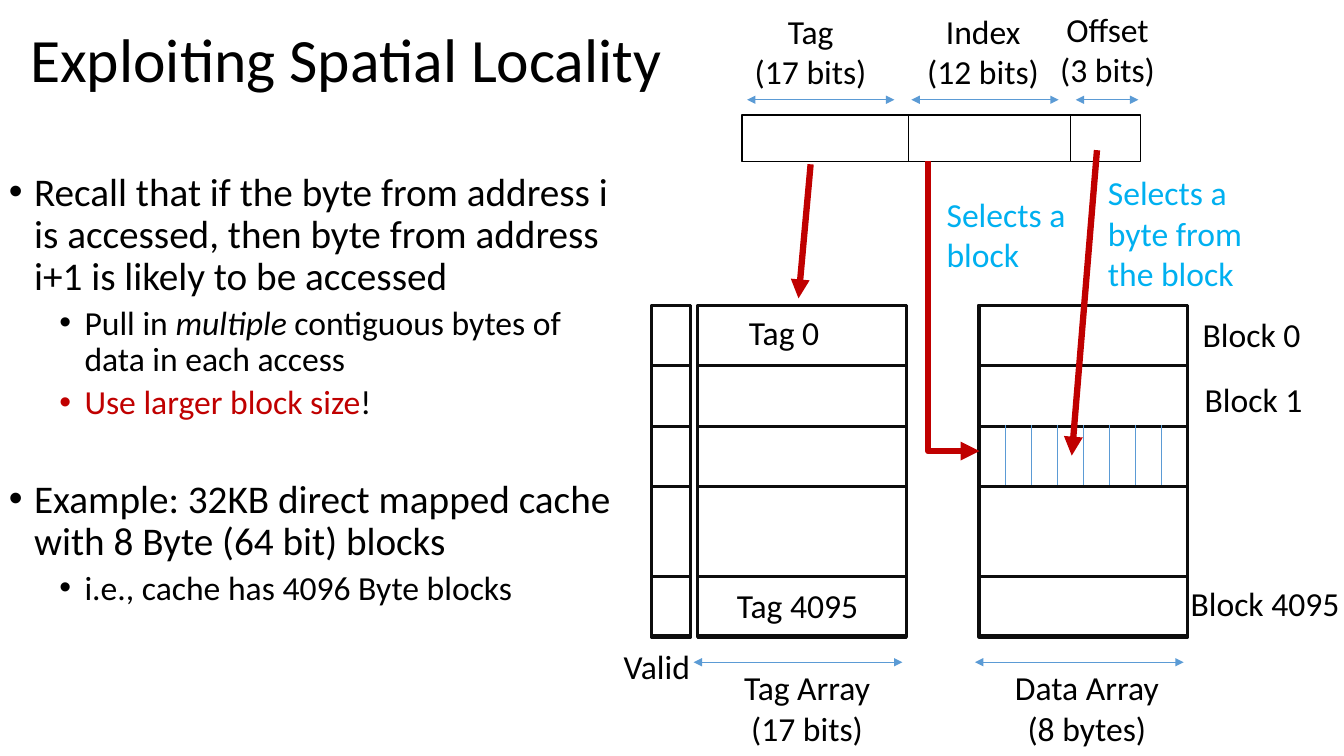
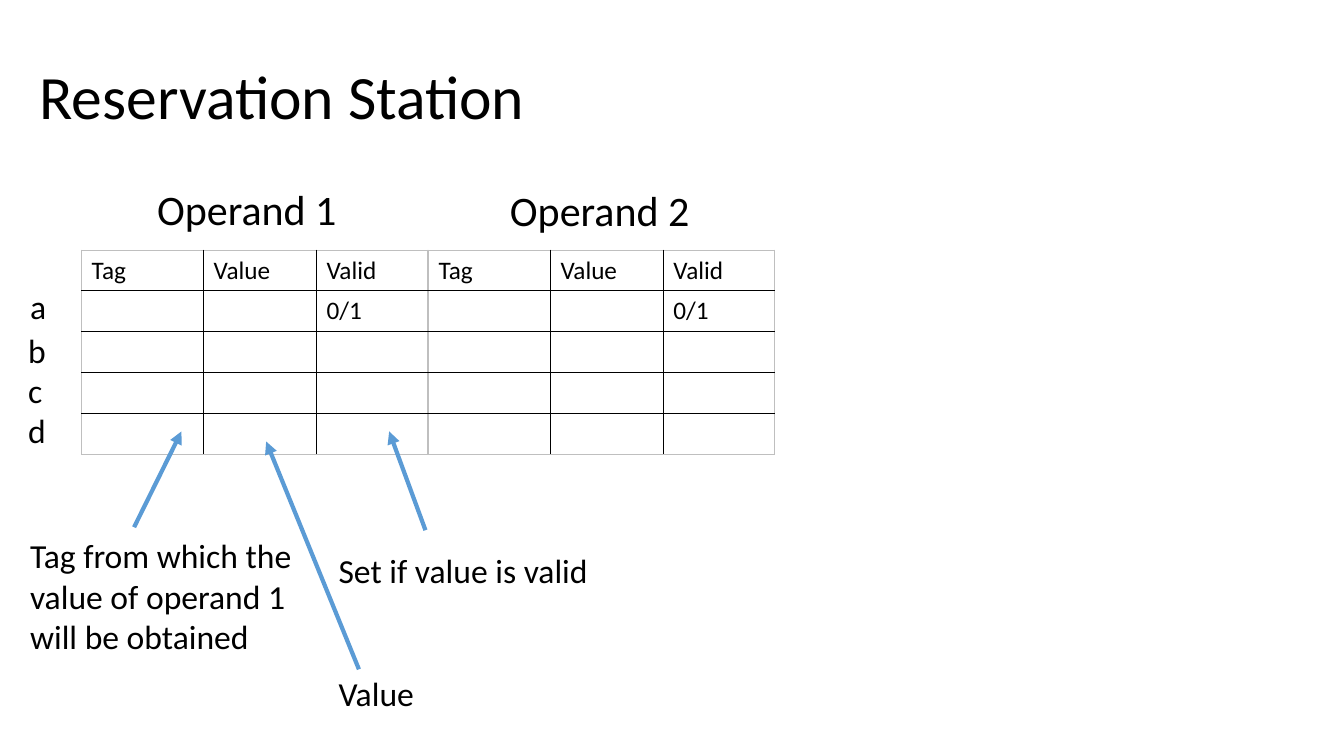
from dataclasses import dataclass
from itertools import product

from lxml.etree import SubElement
from pptx import Presentation
from pptx.dml.color import RGBColor
from pptx.enum.shapes import MSO_CONNECTOR as Connector, MSO_SHAPE as Shape
from pptx.enum.text import MSO_ANCHOR as Anchor, MSO_AUTO_SIZE as AutoSize, PP_ALIGN as Align
from pptx.oxml.ns import qn
from pptx.util import Inches, Pt


@dataclass(frozen=True)
class Theme:
    font: str = "Calibri"
    text: str = "000000"
    frame: str = "0D0D0D"
    blue: str = "5B9BD5"
    red: str = "C00000"
    note: str = "00B0F0"
    edge: str = "BFBFBF"
    title: int = 44
    heading: int = 30
    body: int = 28
    label: int = 24
    cell: int = 18


@dataclass(frozen=True)
class Label:
    text: str
    left: float
    top: float
    width: float
    height: float = 0.5
    color: str = "000000"
    size: int = 24
    wrap: bool = True
    centered: bool = False


@dataclass(frozen=True)
class Arrow:
    start: tuple[float, float]
    end: tuple[float, float]
    color: str
    width: float
    head: bool = False
    tail: bool = True


@dataclass(frozen=True)
class Bullet:
    runs: tuple[str, ...]
    level: int = 0
    space_before: int = 10
    italic: str = ""
    accent: str = ""


THEME = Theme()


# Shared drawing functions
def set_font(paragraph, size: int, color: str = THEME.text) -> None:
    font = paragraph.font
    font.name, font.size = THEME.font, Pt(size)
    font.color.rgb = RGBColor.from_string(color)


def add_titled_slide(deck, text: str, left: float, top: float):
    slide = deck.slides.add_slide(deck.slide_layouts[5])
    title = slide.shapes.title
    title.left, title.top = Inches(left), Inches(top)
    title.width, title.height = Inches(11.5), Inches(1.45)
    frame = title.text_frame
    frame.text = text
    frame.vertical_anchor, frame.auto_size = Anchor.MIDDLE, AutoSize.NONE
    heading = frame.paragraphs[0]
    heading.alignment, heading.line_spacing = Align.LEFT, 0.9
    set_font(heading, THEME.title)
    return slide


def add_label(slide, label: Label) -> None:
    box = slide.shapes.add_textbox(Inches(label.left), Inches(label.top),
                                   Inches(label.width), Inches(label.height))
    frame = box.text_frame
    frame.text = label.text
    frame.word_wrap, frame.auto_size = label.wrap, AutoSize.SHAPE_TO_FIT_TEXT
    for paragraph in frame.paragraphs:
        paragraph.alignment = Align.CENTER if label.centered else Align.LEFT
        set_font(paragraph, label.size, label.color)


def add_frame(slide, left: float, top: float, width: float, height: float,
              color: str = THEME.frame, line: float = 2.25) -> None:
    box = slide.shapes.add_shape(Shape.RECTANGLE, Inches(left), Inches(top),
                                 Inches(width), Inches(height))
    box.shadow.inherit = False
    box.fill.background()
    box.line.color.rgb = RGBColor.from_string(color)
    box.line.width = Pt(line)


def add_arrow(slide, arrow: Arrow, kind=Connector.STRAIGHT):
    points = (Inches(value) for value in (*arrow.start, *arrow.end))
    connector = slide.shapes.add_connector(kind, *points)
    connector.line.color.rgb = RGBColor.from_string(arrow.color)
    connector.line.width = Pt(arrow.width)
    properties = connector.element.spPr
    line = properties.find(qn("a:ln"))
    for tag, shown in (("a:headEnd", arrow.head), ("a:tailEnd", arrow.tail)):
        if shown:
            SubElement(line, qn(tag), type="triangle")
    SubElement(properties, qn("a:effectLst"))
    return connector


def add_span(slide, left: float, right: float, y: float) -> None:
    add_arrow(slide, Arrow((left, y), (right, y), THEME.blue, 0.5, head=True))


def add_bullets(slide, bullets: tuple[Bullet, ...]) -> None:
    box = slide.shapes.add_textbox(Inches(-0.01), Inches(1.66), Inches(6.34), Inches(4.76))
    frame = box.text_frame
    frame.word_wrap = True
    for number, bullet in enumerate(bullets):
        paragraph = frame.add_paragraph() if number else frame.paragraphs[0]
        paragraph.level = bullet.level
        paragraph.line_spacing = 0.9
        paragraph.space_before = Pt(bullet.space_before)
        properties = paragraph._p.get_or_add_pPr()
        properties.set("marL", str(Inches(0.25 + 0.5 * bullet.level)))
        properties.set("indent", str(Inches(-0.25)))
        SubElement(properties, qn("a:buFont"), typeface="Arial")
        SubElement(properties, qn("a:buChar"), char="•")
        set_font(paragraph, THEME.label if bullet.level else THEME.body)
        for text in bullet.runs:
            run = paragraph.add_run()
            run.text = text
            if text == bullet.italic:
                run.font.italic = True
            if text == bullet.accent:
                run.font.color.rgb = RGBColor.from_string(THEME.red)


def set_border(cell, side: str, color: str, width: float) -> None:
    line = SubElement(cell._tc.get_or_add_tcPr(), qn(f"a:{side}"), w=str(Pt(width)))
    SubElement(SubElement(line, qn("a:solidFill")), qn("a:srgbClr"), val=color)


def add_operand_table(slide, left: float) -> None:
    rows, widths = 5, (1.21, 1.12, 1.1)
    columns = len(widths)
    texts = {(0, 0): "Tag", (0, 1): "Value", (0, 2): "Valid", (1, 2): "0/1"}
    table = slide.shapes.add_table(rows, columns, Inches(left), Inches(2.48),
                                   Inches(sum(widths)), Inches(2.03)).table
    table.first_row = table.horz_banding = False
    for column, width in zip(table.columns, widths):
        column.width = Inches(width)
    for row, column in product(range(rows), range(columns)):
        cell = table.cell(row, column)
        cell.text = texts.get((row, column), "")
        set_font(cell.text_frame.paragraphs[0], THEME.cell)
        outer = {"lnL": column == 0, "lnR": column == columns - 1,
                 "lnT": row == 0, "lnB": row == rows - 1}
        for side, is_outer in outer.items():
            set_border(cell, side, THEME.edge if is_outer else THEME.text,
                       0.75 if is_outer else 1)
        cell.fill.background()


# Slide 1: cache address and arrays
def build_locality_slide(deck) -> None:
    slide = add_titled_slide(deck, "Exploiting Spatial Locality", 0.2, -0.1)
    add_bullets(slide, (
        Bullet(("Recall that if the byte from address i is accessed, "
                "then byte from address i+1 is likely to be accessed",)),
        Bullet(("Pull in ", "multiple ", "contiguous bytes of data in each access"),
               1, 5, italic="multiple "),
        Bullet(("Use larger block size", "!"), 1, 5, accent="Use larger block size"),
        Bullet(("Example: 32KB direct mapped cache with 8 Byte (64 bit) blocks",),
               space_before=41),
        Bullet(("i.e., cache has 4096 Byte blocks",), 1, 5),
    ))

    # Address fields
    add_frame(slide, 7.36, 1.14, 3.95, 0.46, THEME.text, 1)
    add_frame(slide, 9.01, 1.14, 1.61, 0.46, THEME.text, 1)
    for left, right in ((7.41, 8.87), (9.04, 10.5), (10.67, 11.29)):
        add_span(slide, left, right, 0.99)

    # Valid, tag and data arrays
    array_top, row_height = 3.03, 0.6
    data_left, array_width = 9.71, 2.07
    for left, width in ((6.46, 0.39), (6.92, array_width), (data_left, array_width)):
        add_frame(slide, left, array_top, width, 3.28)
        for offset in (0, 0.6, 1.2, 2.69):
            add_frame(slide, left, array_top + offset, width, row_height)
    for left in (6.88, 9.67):
        add_span(slide, left, left + array_width, 6.57)

    # Bytes of the selected block
    for number in range(1, 8):
        x = data_left + number * array_width / 8
        add_arrow(slide, Arrow((x, 4.22), (x, 4.81), THEME.blue, 0.5, tail=False))

    for label in (
        Label("Tag\n(17 bits)", 7.38, 0.06, 1.32, 0.91, wrap=False, centered=True),
        Label("Index\n(12 bits)", 9.09, 0.06, 1.32, 0.91, wrap=False, centered=True),
        Label("Offset\n(3 bits)", 10.41, 0.04, 1.15, 0.91, wrap=False, centered=True),
        Label("Tag Array\n(17 bits)", 7.27, 6.57, 1.47, 0.91, wrap=False, centered=True),
        Label("Data Array\n(8 bytes)", 9.96, 6.57, 1.64, 0.91, wrap=False, centered=True),
        Label("Valid", 6.08, 6.36, 0.87, wrap=False, centered=True),
        Label("Tag 0", 7.33, 3.05, 1.3),
        Label("Tag 4095", 7.21, 5.75, 1.55),
        Label("Block 0", 11.83, 3.07, 1.3),
        Label("Block 1", 11.85, 3.71, 1.3),
        Label("Block 4095", 11.71, 5.73, 1.69),
        Label("Selects a block", 9.29, 1.87, 1.77, 0.91, THEME.note),
        Label("Selects a byte from the block", 10.89, 1.66, 1.77, 1.31, THEME.note),
    ):
        add_label(slide, label)

    # Lookup arrows
    add_arrow(slide, Arrow((8.04, 1.63), (7.92, 2.96), THEME.red, 4.5))
    add_arrow(slide, Arrow((10.88, 1.49), (10.63, 4.52), THEME.red, 4.5))
    # The index elbow is laid out flat, then turned to run down and right
    index_elbow = add_arrow(slide, Arrow((10.9, 2.78), (8.02, 3.29), THEME.red, 4.5),
                            Connector.ELBOW)
    elbow_properties = index_elbow.element.spPr
    elbow_properties.find(qn("a:prstGeom")).set("prst", "bentConnector2")
    elbow_properties.find(qn("a:xfrm")).set("rot", str(270 * 60000))


# Slide 2: reservation station tables
def build_reservation_slide(deck) -> None:
    slide = add_titled_slide(deck, "Reservation Station", 0.29, 0.26)
    for left in (0.81, 4.25):
        add_operand_table(slide, left)
    for label in (
        Label("Operand 1", 1.46, 1.77, 2, 0.61, size=THEME.heading, wrap=False),
        Label("Operand 2", 4.96, 1.78, 2, 0.61, size=THEME.heading, wrap=False),
        Label("a", 0.2, 2.79, 0.23),
        Label("b", 0.18, 3.22, 0.24),
        Label("c", 0.18, 3.62, 0.22),
        Label("d", 0.18, 4.02, 0.24),
        Label("Tag from which the value of operand 1 will be obtained",
              0.2, 5.26, 3.26, 1.31),
        Label("Set if value is valid", 3.26, 5.41, 3.26),
        Label("Value", 3.26, 6.63, 3.26),
    ):
        add_label(slide, label)
    for start, end in (((1.33, 5.23), (1.8, 4.28)),
                       ((4.22, 5.26), (3.86, 4.28)),
                       ((3.56, 6.64), (2.64, 4.38))):
        add_arrow(slide, Arrow(start, end, THEME.blue, 3))


def main() -> None:
    deck = Presentation()
    deck.slide_width, deck.slide_height = Inches(13.33), Inches(7.5)
    build_locality_slide(deck)
    build_reservation_slide(deck)
    deck.save("out.pptx")


if __name__ == "__main__":
    main()
